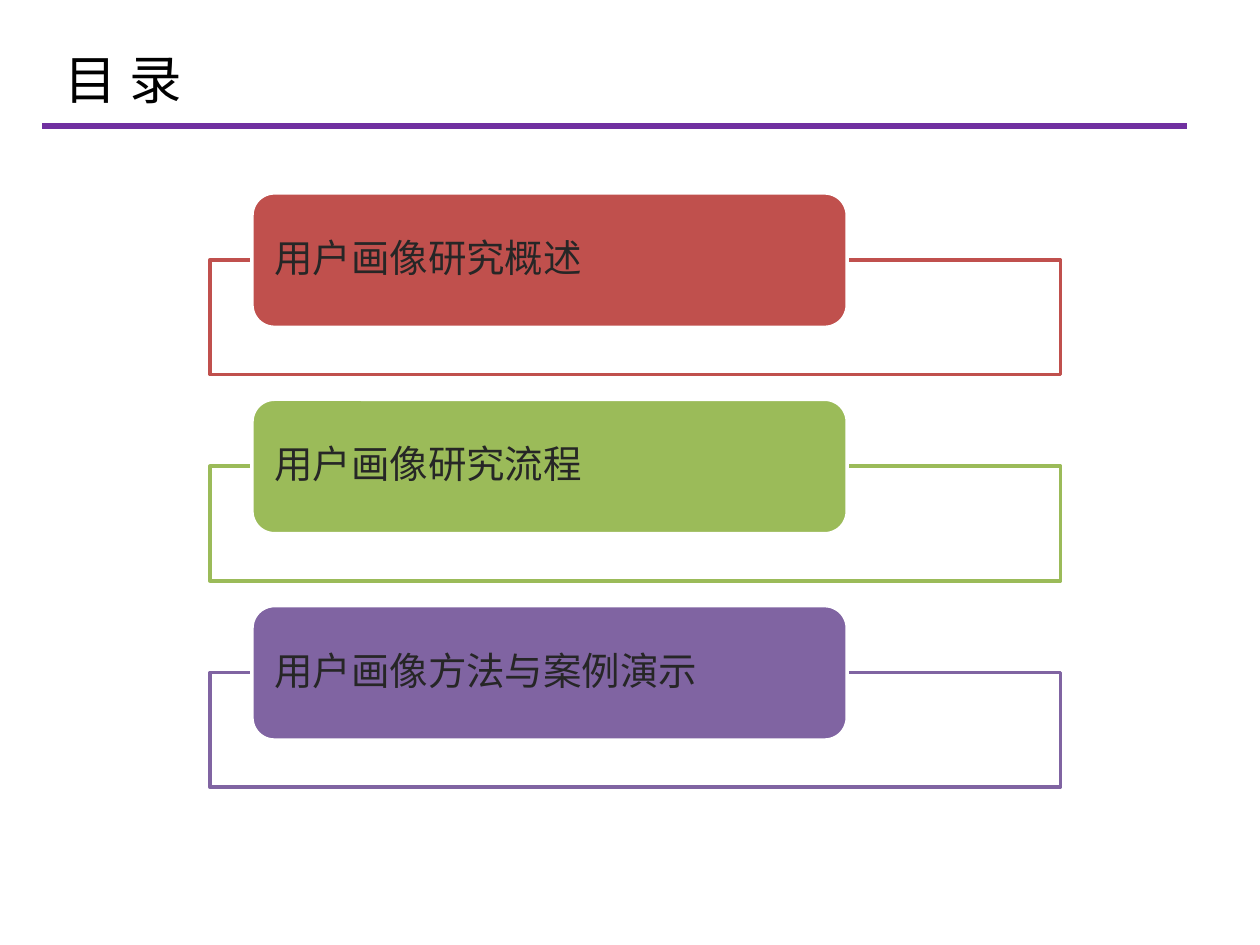
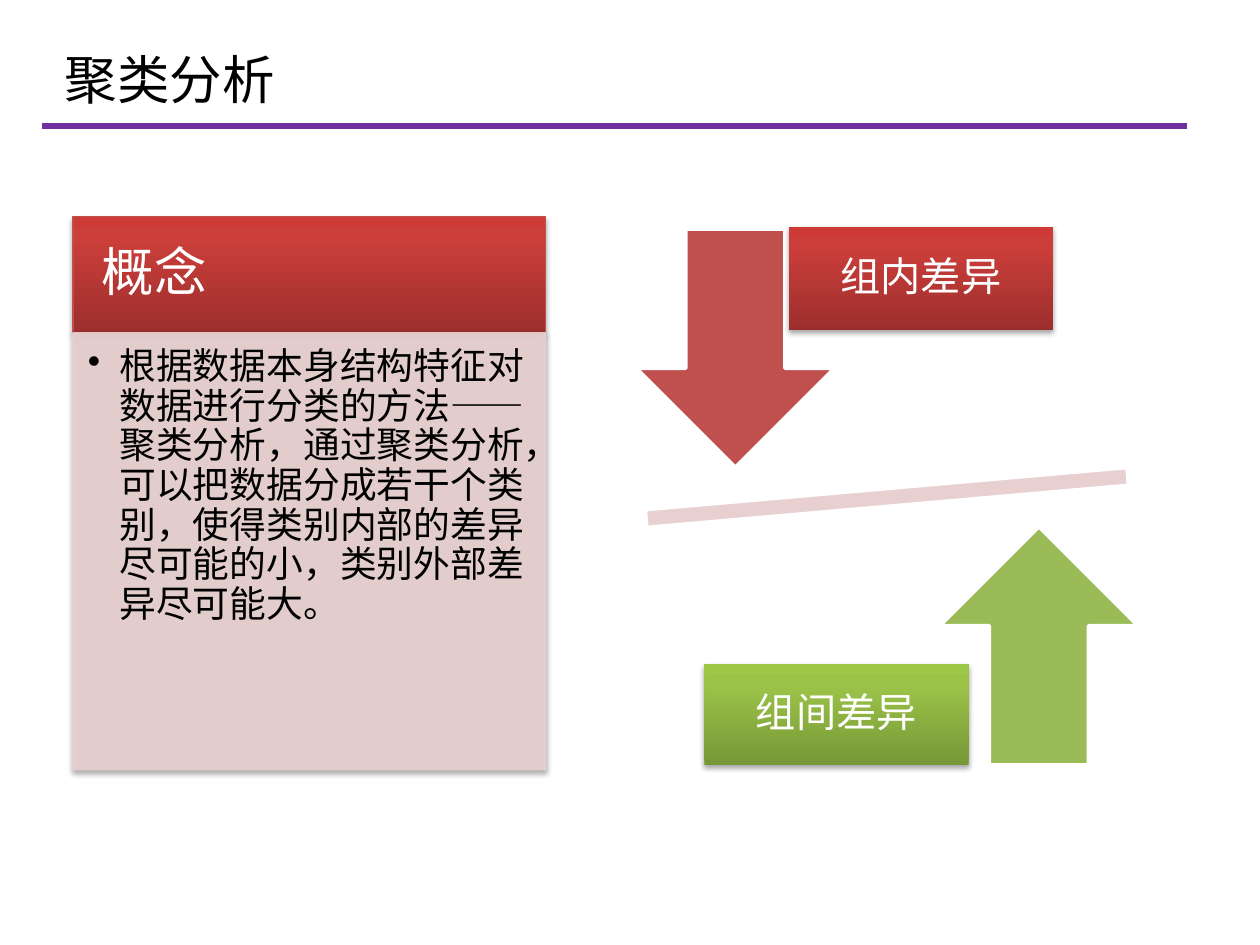
from lxml.etree import SubElement
from pptx import Presentation
from pptx.dml.color import RGBColor
from pptx.enum.shapes import MSO_CONNECTOR, MSO_SHAPE
from pptx.enum.text import MSO_ANCHOR, PP_ALIGN
from pptx.oxml.ns import qn
from pptx.util import Cm, Pt

FONT = "Noto Sans CJK SC"
COLORS = {
    "black": "000000",
    "white": "FFFFFF",
    "ink": "262626",
    "rule": "7030A0",
    "red": "C0504D",
    "green": "9BBB59",
    "purple": "8064A2",
    "pink": "E8D0D0",
}
GRADIENTS = {
    "red": ["9C2F2D", "CB3E3A", "CE3B37"],
    "green": ["779737", "9BC348", "9DC746"],
}


def add_block(slide, preset, box, fill=None, line=None, width=2, gradient=None, opacity=None, shadow=False):
    block = slide.shapes.add_shape(preset, *[Cm(v) for v in box])
    properties = block._element.spPr
    if gradient:
        grad = SubElement(properties, qn("a:gradFill"), rotWithShape="1")
        stops = SubElement(grad, qn("a:gsLst"))
        for position, color in zip((0, 80, 100), GRADIENTS[gradient]):
            stop = SubElement(stops, qn("a:gs"), pos=str(position * 1000))
            SubElement(stop, qn("a:srgbClr"), val=color)
        SubElement(grad, qn("a:lin"), ang="16200000", scaled="0")
    else:
        block.fill.solid()
        block.fill.fore_color.rgb = RGBColor.from_string(COLORS[fill])
    if line:
        block.line.color.rgb = RGBColor.from_string(COLORS[line])
        block.line.width = Pt(width)
    else:
        block.line.fill.background()
    if opacity:
        for color in properties.iter(qn("a:srgbClr")):
            SubElement(color, qn("a:alpha"), val=str(opacity * 1000))
    block.shadow.inherit = False
    if shadow:
        outer = SubElement(properties.find(qn("a:effectLst")), qn("a:outerShdw"),
                           blurRad=str(Pt(3.1)), dist=str(Pt(1.8)), dir="5400000", rotWithShape="0")
        shade = SubElement(outer, qn("a:srgbClr"), val=COLORS["black"])
        SubElement(shade, qn("a:alpha"), val="35000")
    return block


def write(shape, text, size, color, margins, anchor=MSO_ANCHOR.MIDDLE, align=PP_ALIGN.LEFT, spacing=0.9):
    frame = shape.text_frame
    frame.word_wrap = True
    frame.vertical_anchor = anchor
    frame.margin_left, frame.margin_top, frame.margin_right, frame.margin_bottom = [Cm(m) for m in margins]
    paragraph = frame.paragraphs[0]
    paragraph.alignment = align
    paragraph.line_spacing = spacing
    run = paragraph.add_run()
    run.text = text
    run.font.size = Pt(size)
    run.font.name = FONT
    run.font.color.rgb = RGBColor.from_string(COLORS[color])
    SubElement(run.font._element, qn("a:ea"), typeface=FONT)
    return paragraph


deck = Presentation()
deck.slide_width, deck.slide_height = Cm(25.4), Cm(19.05)

for title in ("目 录", "聚类分析"):
    slide = deck.slides.add_slide(deck.slide_layouts[6])
    rule = slide.shapes.add_connector(MSO_CONNECTOR.STRAIGHT, Cm(0.85), Cm(2.54), Cm(23.93), Cm(2.54))
    rule.line.color.rgb = RGBColor.from_string(COLORS["rule"])
    rule.line.width = Pt(3.75)
    SubElement(rule._element.spPr, qn("a:effectLst"))
    heading = slide.shapes.add_textbox(Cm(1.06), Cm(0), Cm(22.86), Cm(3.18))
    write(heading, title, 30, "black", (0.25, 0.13, 0.25, 0.13), spacing=1)

contents, clustering = deck.slides

chapters = [
    ("用户画像研究概述", "red"),
    ("用户画像研究流程", "green"),
    ("用户画像方法与案例演示", "purple"),
]
for index, (chapter, color) in enumerate(chapters):
    top = 3.89 + index * 4.16
    add_block(contents, MSO_SHAPE.RECTANGLE, (4.23, top + 1.35, 17.15, 2.31), "white", color)
    tab = add_block(contents, MSO_SHAPE.ROUNDED_RECTANGLE, (5.08, top, 12, 2.71), color, "white")
    write(tab, chapter, 22, "ink", (0.32, 0, 0.32, 0))

balance = add_block(clustering, MSO_SHAPE.MATH_MINUS, (11.25, 9.27, 13.26, 1.52), "pink", "white")
balance.rotation = 355

differences = [
    ("组内差异", "red", MSO_SHAPE.DOWN_ARROW, (12.83, 4.62), (15.9, 4.57, 5.33, 2.08)),
    ("组间差异", "green", MSO_SHAPE.UP_ARROW, (18.95, 10.62), (14.2, 13.39, 5.33, 2.03)),
]
for difference, color, arrow, corner, label_box in differences:
    add_block(clustering, arrow, (*corner, 3.99, 4.8), color, "white")
    label = add_block(clustering, MSO_SHAPE.RECTANGLE, label_box, gradient=color, shadow=True)
    write(label, difference, 23, "white", (0.46,) * 4, align=PP_ALIGN.CENTER)

concept = add_block(clustering, MSO_SHAPE.RECTANGLE, (1.47, 4.37, 9.53, 2.34),
                    line="red", width=0.75, gradient="red", shadow=True)
write(concept, "概念", 30, "white", (0.58, 0.33, 0.58, 0.33))

definition = add_block(clustering, MSO_SHAPE.RECTANGLE, (1.47, 6.71, 9.53, 8.81),
                       "pink", "pink", 0.75, opacity=90, shadow=True)
explanation = write(
    definition,
    "根据数据本身结构特征对数据进行分类的方法——聚类分析，通过聚类分析，"
    "可以把数据分成若干个类别，使得类别内部的差异尽可能的小，类别外部差异尽可能大。",
    21, "black", (0.3, 0.3, 0.41, 0.46), MSO_ANCHOR.TOP)
bullet = explanation._p.get_or_add_pPr()
bullet.set("marL", str(Cm(0.64)))
bullet.set("indent", str(-Cm(0.64)))
SubElement(bullet, qn("a:buChar"), char="•")

deck.save("out.pptx")
